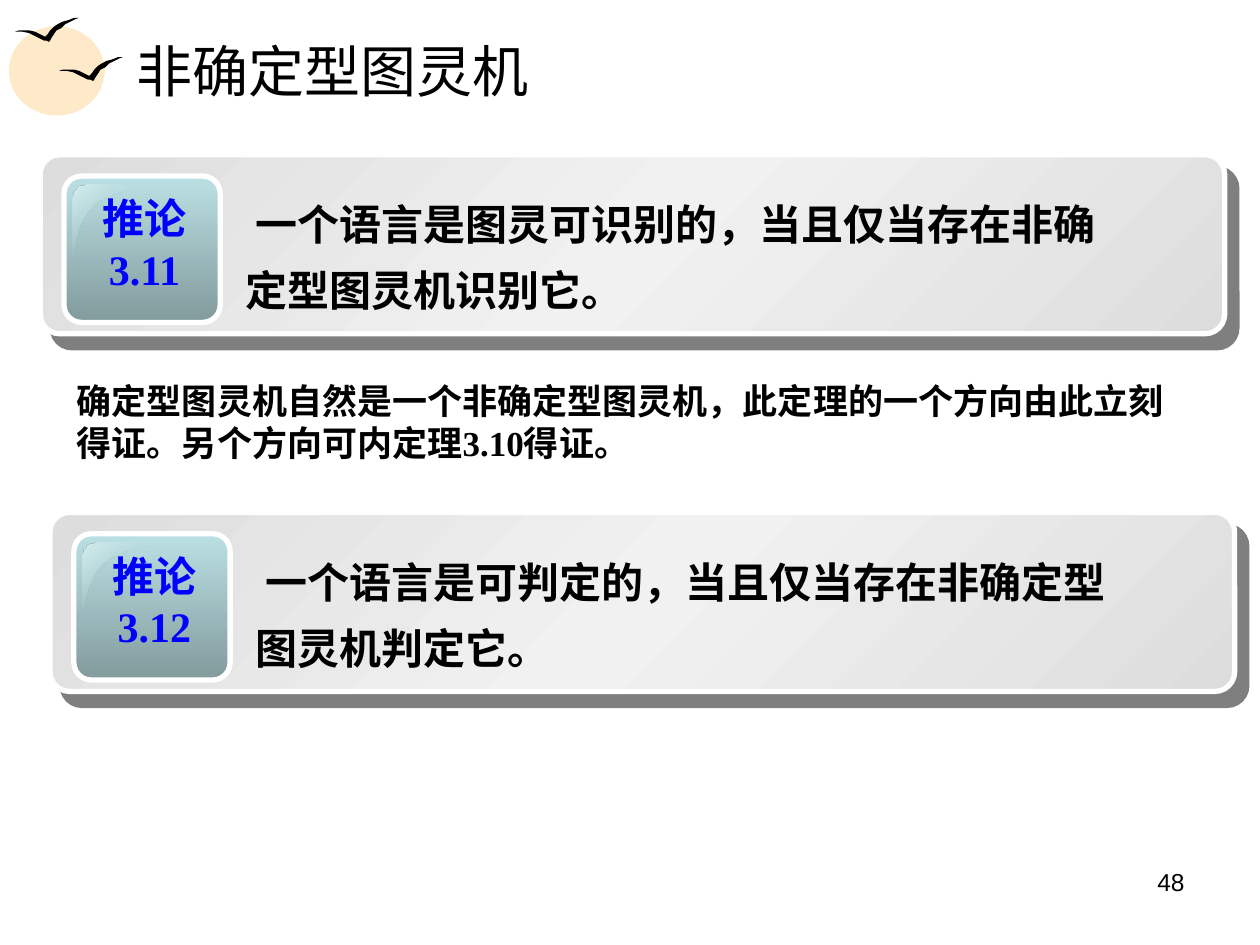
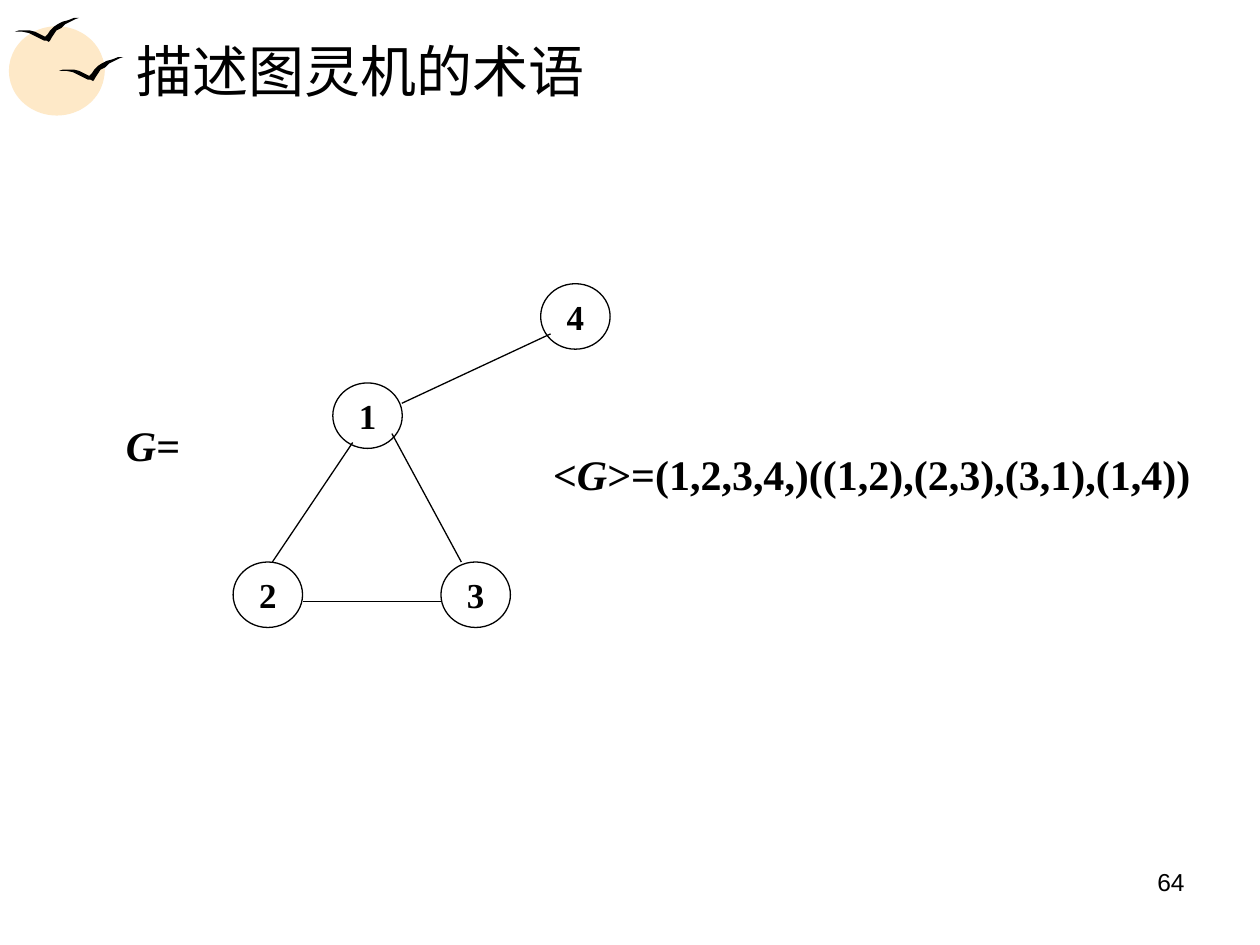
from lxml.etree import SubElement
from pptx import Presentation
from pptx.dml.color import RGBColor
from pptx.enum.shapes import MSO_CONNECTOR, MSO_SHAPE
from pptx.enum.text import MSO_ANCHOR, PP_ALIGN
from pptx.oxml.ns import qn
from pptx.util import Cm, Pt

COLORS = {
    "ink": "000000", "sun": "FEE9C8", "white": "FFFFFF", "label": "0000FF",
    "card": "DDDDDD", "card_light": "F1F1F1",
    "badge": "BBE0E3", "badge_dark": "829B9D", "gloss": "D9EDEE",
}
SERIF, SANS = "Times New Roman", "Arial"


def paint(shape, fill=None, edge=None, width=0.75, angle=0):
    """Fill with a colour name or a list of (percent, colour, alpha) stops."""
    shape.shadow.inherit = False
    if fill is None:
        shape.fill.background()
    elif isinstance(fill, str):
        shape.fill.solid()
        shape.fill.fore_color.rgb = RGBColor.from_string(COLORS[fill])
    else:
        shape.fill.gradient()
        shape.fill.gradient_angle = 360 - angle
        stops = shape.element.spPr.find(qn("a:gradFill")).find(qn("a:gsLst"))
        for stop in list(stops):
            stops.remove(stop)
        for percent, color, alpha in fill:
            stop = SubElement(stops, qn("a:gs"), pos=str(percent * 1000))
            rgb = SubElement(stop, qn("a:srgbClr"), val=COLORS[color])
            SubElement(rgb, qn("a:alpha"), val=str(alpha * 1000))
    if edge:
        shape.line.color.rgb = RGBColor.from_string(COLORS[edge])
        shape.line.width = Pt(width)
    else:
        shape.line.fill.background()
    return shape


def write(shape, lines, size, font=SERIF, color="ink", bold=True,
          align=PP_ALIGN.LEFT, anchor=MSO_ANCHOR.TOP, wrap=True):
    """Write one paragraph per line; parts between asterisks are italic."""
    frame = shape.text_frame
    frame.word_wrap = wrap
    frame.vertical_anchor = anchor
    for n, line in enumerate(lines):
        paragraph = frame.add_paragraph() if n else frame.paragraphs[0]
        paragraph.alignment = align
        paragraph.font.size = Pt(size)
        paragraph.font.name = font
        paragraph.font.bold = bold
        paragraph.font.color.rgb = RGBColor.from_string(COLORS[color])
        for i, part in enumerate(line.split("*")):
            if part:
                run = paragraph.add_run()
                run.text = part
                if i % 2:
                    run.font.italic = True
    return frame.paragraphs


prs = Presentation()
prs.slide_width, prs.slide_height = Cm(25.4), Cm(19.05)
layout = prs.slide_layouts[5]

# Titles and page numbers
slides = []
for heading, page in (("非确定型图灵机", "48"), ("描述图灵机的术语", "64")):
    slide = prs.slides.add_slide(layout)
    title = slide.shapes.title
    title.left, title.top, title.width, title.height = Cm(2.49), Cm(0.53), Cm(21.67), Cm(1.75)
    write(title, [heading], 32, bold=False, anchor=MSO_ANCHOR.MIDDLE)
    page_number = slide.shapes.add_textbox(Cm(18.21), Cm(17.35), Cm(5.92), Cm(1.32))
    write(page_number, [page], 14, SANS, bold=False, align=PP_ALIGN.RIGHT)
    slides.append(slide)
corollaries, terms = slides

# Sun and birds, shared through the layout
BIRD = [(0, 11), (3, 10), (8, 10), (12, 10), (16, 11), (20, 13), (24, 15), (26, 13),
        (28, 10), (31, 7), (34, 5), (38, 3), (42, 2), (47, 0), (51, 0), (48, 1),
        (44, 3), (40, 5), (37, 8), (33, 10), (31, 13), (29, 16), (28, 18), (27, 19),
        (25, 18), (23, 18), (19, 16), (15, 14), (11, 12), (6, 11)]
UNIT = Cm(2.54) / 100
emblem = []
for x, y, w, h in ((0.18, 0.53, 1.93, 1.8), (0.51, 0.71, 1.6, 1.4)):
    sun = corollaries.shapes.add_shape(MSO_SHAPE.OVAL, Cm(x), Cm(y), Cm(w), Cm(h))
    emblem.append(paint(sun, "sun"))
for x, y in ((1.19, 1.15), (0.3, 0.36)):
    outline = corollaries.shapes.build_freeform(*BIRD[0], scale=UNIT)
    outline.add_line_segments(BIRD[1:], close=True)
    emblem.append(paint(outline.convert_to_shape(Cm(x), Cm(y)), "ink"))
for number, part in enumerate(emblem, start=20):
    part.element.nvSpPr.cNvPr.id = number
    layout.shapes.element.append(part.element)

# Gloss outline: three Bezier curves joined by straight lines
CURVES = [((13, 0), (6, 0), (0, 5), (0, 12)),
          ((0, 58), (3, 58), (2, 30), (17, 17)),
          ((17, 17), (32, 4), (62, 3), (61, 0))]
STEPS = 10
gloss_points = []
for curve in CURVES:
    for t in (step / STEPS for step in range(STEPS + 1)):
        weights = ((1 - t) ** 3, 3 * t * (1 - t) ** 2, 3 * t * t * (1 - t), t ** 3)
        gloss_points.append(tuple(sum(k * point[axis] for k, point in zip(weights, curve))
                                  for axis in (0, 1)))

# Corollary cards
CARDS = [
    (0.81, 3.12, "3.11", ["一个语言是图灵可识别的，当且仅当存在非确", "定型图灵机识别它。"]),
    (1.01, 10.33, "3.12", ["一个语言是可判定的，当且仅当存在非确定型", "图灵机判定它。"]),
]
for x, y, number, statement in CARDS:
    shapes = corollaries.shapes
    card = shapes.add_shape(MSO_SHAPE.ROUNDED_RECTANGLE, Cm(x), Cm(y), Cm(23.88), Cm(3.61))
    card.adjustments[0] = 0.11
    paint(card, [(0, "card", 100), (50, "card_light", 100), (100, "card", 100)],
          "white", 3, angle=225)
    shadow = SubElement(card.element.spPr.find(qn("a:effectLst")), qn("a:outerShdw"),
                        dist=str(Pt(10.6)), dir=str(49 * 60000), algn="ctr", rotWithShape="0")
    shade = SubElement(shadow, qn("a:srgbClr"), val=COLORS["ink"])
    SubElement(shade, qn("a:alpha"), val="50000")

    badge = shapes.add_shape(MSO_SHAPE.ROUNDED_RECTANGLE,
                             Cm(x + 0.48), Cm(y + 0.43), Cm(3.15), Cm(2.95))
    badge.adjustments[0] = 0.12
    paint(badge, [(0, "badge", 100), (100, "badge_dark", 100)], "white", 3, angle=90)

    outline = shapes.build_freeform(*gloss_points[0], scale=UNIT)
    outline.add_line_segments(gloss_points[1:], close=True)
    paint(outline.convert_to_shape(Cm(x + 0.66), Cm(y + 0.61)),
          [(0, "gloss", 100), (50, "badge", 0), (100, "gloss", 100)], angle=225)

    label = shapes.add_textbox(Cm(x + 0.91), Cm(y + 0.64), Cm(2.39), Cm(2.29))
    write(label, ["推论", number], 24, color="label", align=PP_ALIGN.CENTER)

    claim = shapes.add_textbox(Cm(x + 3.89), Cm(y + 0.61), Cm(18.6), Cm(2.77))
    first, second = write(claim, statement, 24, SANS)
    first.line_spacing = second.line_spacing = 1.15
    second.space_before = Pt(4.5)
    first._p.get_or_add_pPr().set("indent", str(Cm(0.21)))

# Proof remark
remark = corollaries.shapes.add_textbox(Cm(1.3), Cm(7.52), Cm(23.01), Cm(1.96))
write(remark, ["确定型图灵机自然是一个非确定型图灵机，此定理的一个方向由此立刻得证。"
               "另个方向可内定理3.10得证。"], 20)

# Graph nodes
NODES = {"1": (6.71, 7.72), "2": (4.7, 11.33), "3": (8.89, 11.33), "4": (10.9, 5.72)}
for name, (x, y) in NODES.items():
    node = terms.shapes.add_shape(MSO_SHAPE.OVAL, Cm(x), Cm(y), Cm(1.4), Cm(1.32))
    paint(node, edge="ink")
    write(node, [name], 20, align=PP_ALIGN.CENTER, anchor=MSO_ANCHOR.MIDDLE, wrap=False)

# Graph edges
EDGES = [(5.49, 11.33, 7.11, 8.92), (6.1, 12.12, 8.89, 12.12),
         (7.9, 8.74, 9.3, 11.33), (8.1, 8.13, 11.1, 6.73)]
for ends in EDGES:
    edge = terms.shapes.add_connector(MSO_CONNECTOR.STRAIGHT, *map(Cm, ends))
    edge.line.color.rgb = RGBColor.from_string(COLORS["ink"])
    edge.line.width = Pt(0.75)
    SubElement(edge.element.spPr, qn("a:effectLst"))

# Graph and its encoding
for x, y, w, formula in ((2.29, 8.33, 3.61, "*G*="),
                         (10.9, 8.92, 13.79, "<*G*>=(1,2,3,4,)((1,2),(2,3),(3,1),(1,4))")):
    write(terms.shapes.add_textbox(Cm(x), Cm(y), Cm(w), Cm(1.27)), [formula], 24)

prs.save("out.pptx")
